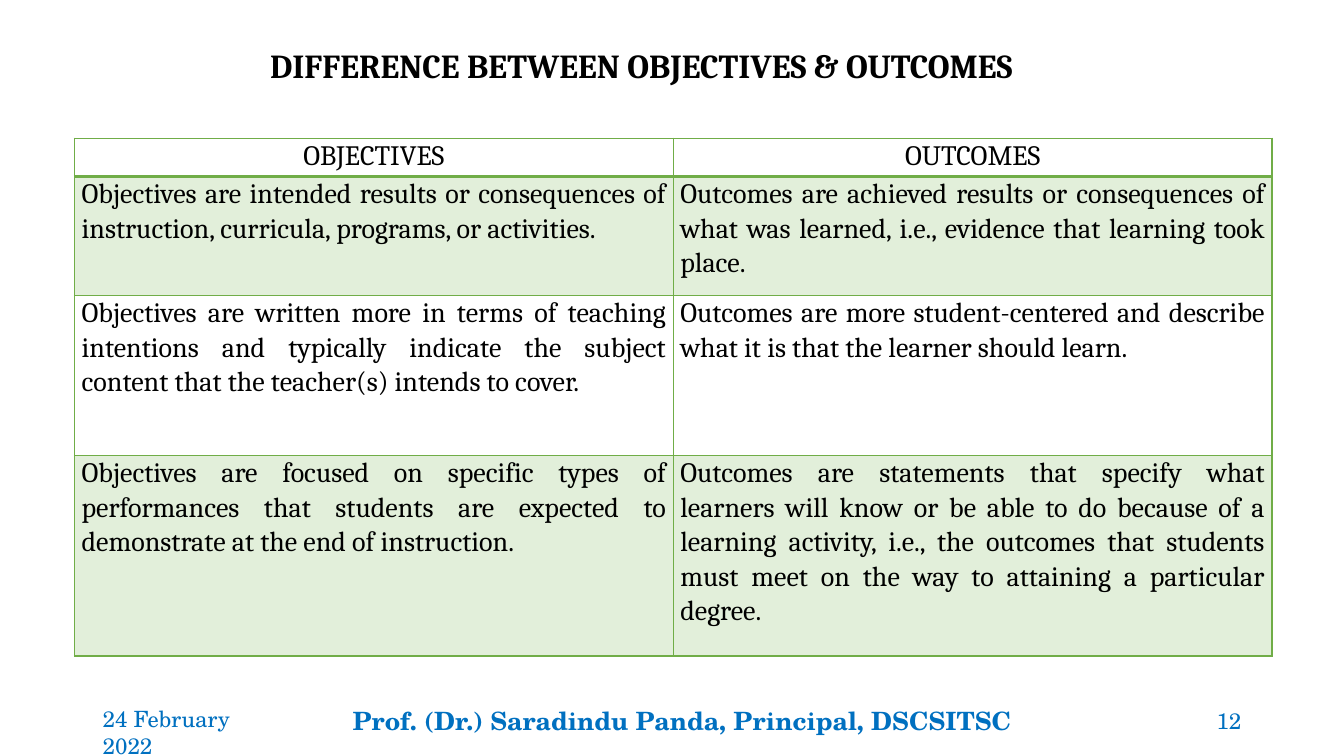
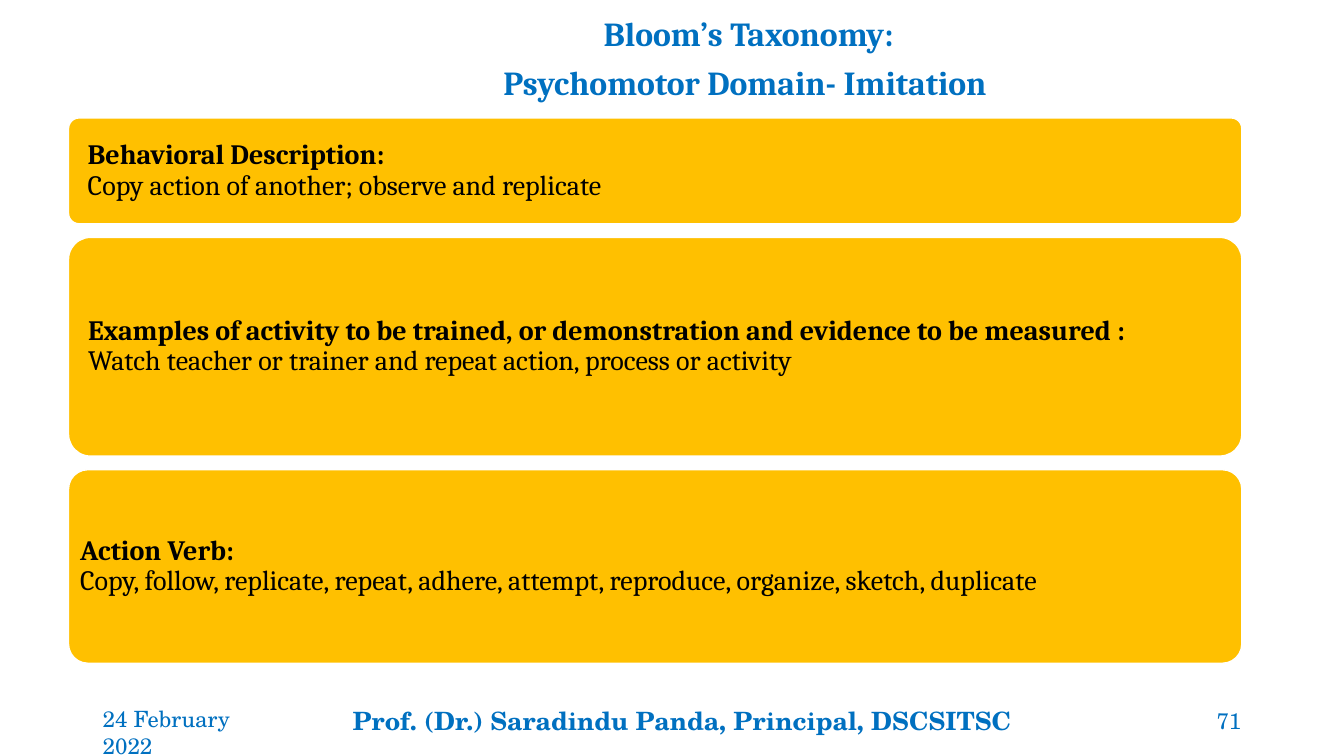
from lxml import etree
from pptx import Presentation
from pptx.dml.color import RGBColor
from pptx.enum.shapes import MSO_SHAPE
from pptx.enum.text import MSO_ANCHOR, PP_ALIGN
from pptx.oxml.ns import qn
from pptx.util import Inches, Pt

LEFT, CENTER, RIGHT, JUSTIFY = PP_ALIGN.LEFT, PP_ALIGN.CENTER, PP_ALIGN.RIGHT, PP_ALIGN.JUSTIFY
TOP, MIDDLE, BOTTOM = MSO_ANCHOR.TOP, MSO_ANCHOR.MIDDLE, MSO_ANCHOR.BOTTOM
ROUNDED = MSO_SHAPE.ROUNDED_RECTANGLE

BLACK, WHITE, BLUE = "000000", "FFFFFF", "0070C0"
GREEN, PALE_GREEN, AMBER = "70AD47", "E2EFDA", "FFC000"
BODY_FONT, FOOTER_FONT = "Cambria", "TeX Gyre Schola"
rgb = RGBColor.from_string

deck = Presentation()
deck.slide_width, deck.slide_height = Inches(13.33), Inches(7.5)


def place(left, top, width, height):
    """Turn percentages of the slide into lengths."""
    across, down = deck.slide_width / 100, deck.slide_height / 100
    return [round(left * across), round(top * down), round(width * across), round(height * down)]


def write(frame, text, size=20, color=BLACK, bold=False, font=BODY_FONT, align=LEFT,
          spacing=1.0, before=0, after=0, anchor=TOP):
    """Add a formatted paragraph to a text frame."""
    frame.word_wrap = True
    frame.vertical_anchor = anchor
    first = not frame.text
    para = frame.paragraphs[0] if first else frame.add_paragraph()
    para.alignment, para.line_spacing = align, spacing
    para.space_before, para.space_after = Pt(0 if first else before), Pt(after)
    span = para.add_run()
    span.text = text
    span.font.name, span.font.size, span.font.bold = font, Pt(size), bold
    span.font.color.rgb = rgb(color)


# Pages with their shared footer
footer = dict(color=BLUE, font=FOOTER_FONT)
pages = []
for number in ("12", "71"):
    page = deck.slides.add_slide(deck.slide_layouts[6])
    pages.append(page)
    for left, width, text, style in (
        (6.9, 14.9, "24 February 2022", dict(size=16)),
        (25.5, 51.1, "Prof. (Dr.) Saradindu Panda, Principal, DSCSITSC", dict(size=18, bold=True)),
        (82.2, 10.9, number, dict(size=16, align=RIGHT, anchor=MIDDLE)),
    ):
        box = page.shapes.add_textbox(*place(left, 92.67, width, 5.33))
        write(box.text_frame, text, **footer, **style)
comparison, imitation = pages

# Titles
title_style = dict(size=24, bold=True, anchor=BOTTOM)
box = comparison.shapes.add_textbox(*place(19.35, 4.4, 75.2, 7.47))
write(box.text_frame, "DIFFERENCE BETWEEN OBJECTIVES & OUTCOMES",
      align=JUSTIFY, spacing=1.07, after=8, **title_style)
box = imitation.shapes.add_textbox(*place(18.75, 2.4, 73.9, 11.87))
for line in ("Bloom’s Taxonomy:", "Psychomotor Domain- Imitation "):
    write(box.text_frame, line, color=BLUE, align=CENTER, spacing=0.9, before=6, after=3, **title_style)

# Comparison table
rows = [
    ("OBJECTIVES", "OUTCOMES"),
    ("Objectives are intended results or consequences of instruction, curricula, programs, or activities.",
     "Outcomes are achieved results or consequences of what was learned, i.e., evidence that learning "
     "took place."),
    ("Objectives are written more in terms of teaching intentions and typically indicate the subject "
     "content that the teacher(s) intends to cover.",
     "Outcomes are more student-centered and describe what it is that the learner should learn."),
    ("Objectives are focused on specific types of performances that students are expected to demonstrate "
     "at the end of instruction.",
     "Outcomes are statements that specify what learners will know or be able to do because of a learning "
     "activity, i.e., the outcomes that students must meet on the way to attaining a particular degree."),
]
row_shares = (5.07, 15.73, 21.2, 26.53)
table = comparison.shapes.add_table(4, 2, *place(5.55, 18.27, 89.1, sum(row_shares))).table
table.first_row = table.horz_banding = False
for row_index, (texts, share) in enumerate(zip(rows, row_shares)):
    table.rows[row_index].height = place(0, 0, 0, share)[3]
    for column_index, text in enumerate(texts):
        cell = table.cell(row_index, column_index)
        cell.margin_left = cell.margin_right = Inches(0.07)
        cell.margin_top = cell.margin_bottom = 0
        write(cell.text_frame, text, align=JUSTIFY if row_index else CENTER, spacing=1.07, after=8)
        # Borders come before the fill in the cell properties
        properties = cell._tc.get_or_add_tcPr()
        for side in ("lnL", "lnR", "lnT", "lnB"):
            points = 2 if row_index == 0 and side == "lnB" else 1
            border = etree.SubElement(properties, qn(f"a:{side}"), w=str(Pt(points)))
            solid = etree.SubElement(border, qn("a:solidFill"))
            etree.SubElement(solid, qn("a:srgbClr"), val=GREEN)
        cell.fill.solid()
        cell.fill.fore_color.rgb = rgb(PALE_GREEN if row_index % 2 else WHITE)

# Stacked bands: height, left inset, heading, detail
band_top, band_gap = 15.6, 1.8
for height, inset, heading, detail in (
    (14, 0.16, "Behavioral Description: ", "Copy action of another; observe and replicate"),
    (28.93, 0.13, "Examples of activity to be trained, or demonstration and evidence to be measured :",
     "Watch teacher or trainer and repeat action, process or activity"),
    (25.6, 0.06, "Action Verb:",
     "Copy, follow, replicate, repeat, adhere, attempt, reproduce, organize, sketch, duplicate"),
):
    band = imitation.shapes.add_shape(ROUNDED, *place(5.1, band_top, 87.3, height))
    band.shadow.inherit = False
    band.adjustments[0] = 0.1
    band.fill.solid()
    band.fill.fore_color.rgb = rgb(AMBER)
    band.line.color.rgb, band.line.width = rgb(WHITE), Pt(1)
    band.text_frame.margin_left = Inches(inset)
    for text, bold in ((heading, True), (detail, False)):
        write(band.text_frame, text, bold=bold, align=JUSTIFY, spacing=0.9, anchor=MIDDLE)
    band_top += height + band_gap

deck.save("out.pptx")
